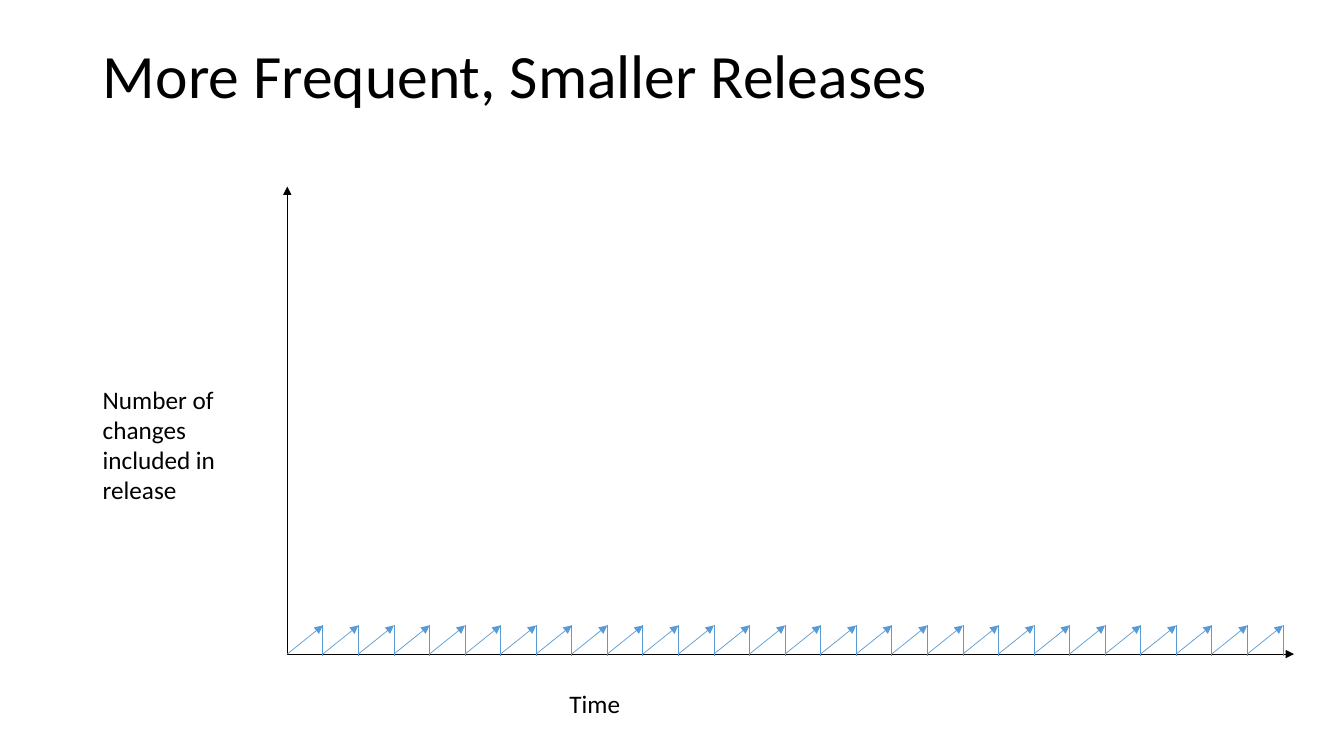
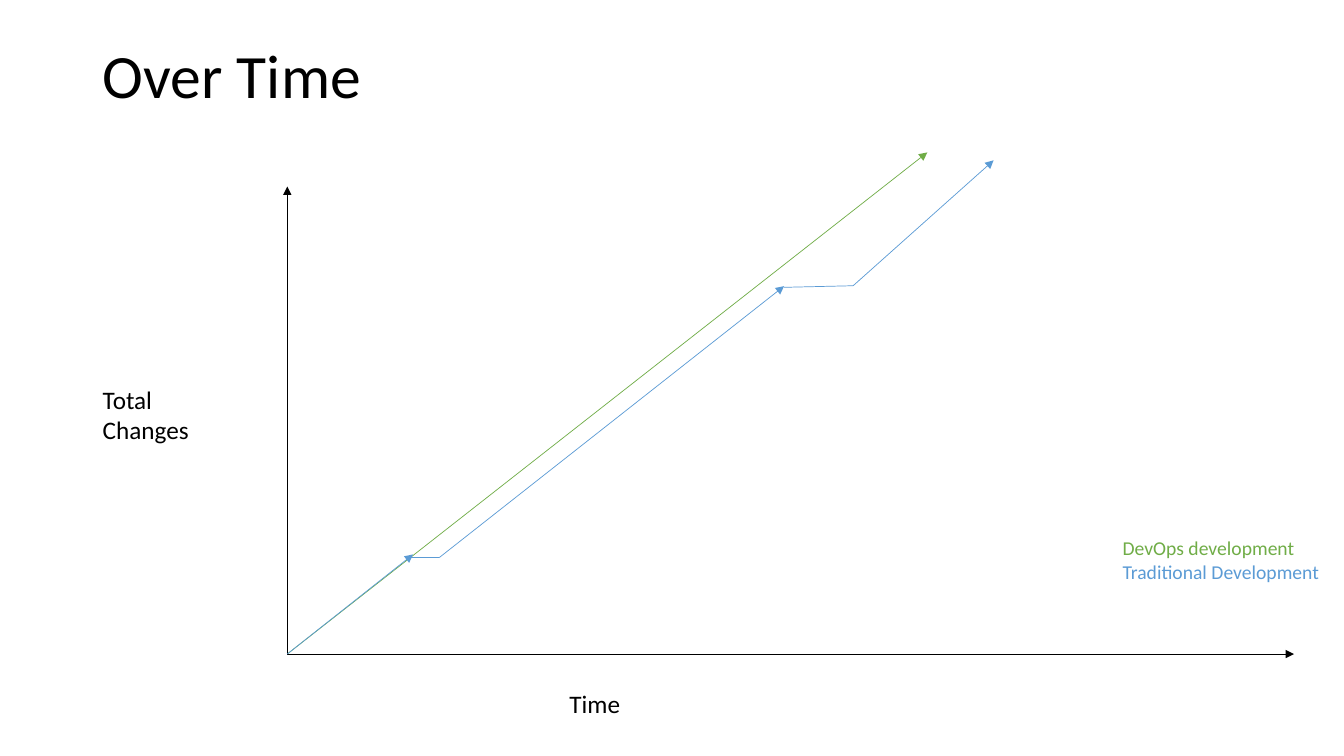
from lxml import etree
from pptx import Presentation
from pptx.dml.color import RGBColor
from pptx.enum.shapes import MSO_CONNECTOR as Line
from pptx.enum.text import MSO_ANCHOR as Anchor, MSO_AUTO_SIZE as Fit, PP_ALIGN as Align
from pptx.oxml.ns import qn
from pptx.util import Cm, Pt

BLACK = RGBColor(0x00, 0x00, 0x00)
BLUE = RGBColor(0x5B, 0x9B, 0xD5)
GREEN = RGBColor(0x70, 0xAD, 0x47)
FONT = "Calibri"

LEFT, BASE = 7.24, 16.48
TEETH, LAST_PEAK = 28, 32.33
PEAK, FOOT = 15.76, 16.52


class Deck:
    """Hold the shared style and the current slide."""

    def __init__(self):
        self.prs = Presentation()
        self.prs.slide_width, self.prs.slide_height = Cm(33.87), Cm(19.05)
        self.s = None

    def style(self, p, size, color):
        p.font.name, p.font.size = FONT, Pt(size)
        p.font.color.rgb = color
        p.alignment = Align.LEFT

    def slide(self, title):
        self.s = self.prs.slides.add_slide(self.prs.slide_layouts[5])
        sp = self.s.shapes.title
        sp.left, sp.top, sp.width, sp.height = Cm(2.34), Cm(1.02), Cm(29.21), Cm(3.68)
        tf = sp.text_frame
        tf.text = title
        tf.auto_size, tf.vertical_anchor = Fit.NONE, Anchor.TOP
        p = tf.paragraphs[0]
        p.line_spacing = 0.9
        self.style(p, 44, BLACK)

    def text(self, x, y, w, h, lines, size=18):
        sp = self.s.shapes.add_textbox(Cm(x), Cm(y), Cm(w), Cm(h))
        tf = sp.text_frame
        tf.word_wrap, tf.auto_size = True, Fit.SHAPE_TO_FIT_TEXT
        for i, (line, color) in enumerate(lines):
            p = tf.add_paragraph() if i else tf.paragraphs[0]
            p.text = line
            self.style(p, size, color)

    def line(self, start, end, color, arrow=False):
        (x1, y1), (x2, y2) = start, end
        sp = self.s.shapes.add_connector(Line.STRAIGHT, Cm(x1), Cm(y1), Cm(x2), Cm(y2))
        sp.line.color.rgb = color
        sp.line.width = Pt(0.5)
        if arrow:
            etree.SubElement(sp.line._get_or_add_ln(), qn("a:tailEnd"), type="triangle")
        etree.SubElement(sp._element.spPr, qn("a:effectLst"))

    def axes(self, label, height):
        self.line((LEFT, BASE), (32.61, BASE), BLACK, True)
        self.line((LEFT, BASE), (LEFT, 4.7), BLACK, True)
        self.text(14.1, 17.22, 2.64, 1.02, [("Time", BLACK)])
        self.text(2.34, 9.55, 3.56, height, [(label, BLACK)])


def releases(deck):
    deck.slide("More Frequent, Smaller Releases")
    deck.axes("Number of changes included in release", 3.33)
    step = (LAST_PEAK - LEFT) / TEETH
    for i in range(TEETH):
        x = LEFT + i * step
        deck.line((x, BASE), (x + step, PEAK), BLUE, True)
        deck.line((x + step, PEAK), (x + step, FOOT), BLUE)


def over_time(deck):
    deck.slide("Over Time")
    deck.line((LEFT, BASE), (23.37, 3.84), GREEN, True)
    deck.axes("Total Changes", 1.8)
    traditional = [
        ((LEFT, BASE), (10.41, 13.97), True),
        ((10.34, 14.05), (11.07, 14.05), False),
        ((11.07, 14.05), (19.76, 7.21), True),
        ((19.76, 7.24), (21.5, 7.2), False),
        ((21.5, 7.2), (25.04, 4.04), True),
    ]
    for start, end, arrow in traditional:
        deck.line(start, end, BLUE, arrow)
    legend = [("DevOps development", GREEN), ("Traditional Development", BLUE)]
    deck.text(28.04, 13.39, 5.83, 1.45, legend, 14)


def main():
    deck = Deck()
    releases(deck)
    over_time(deck)
    deck.prs.save("out.pptx")


if __name__ == "__main__":
    main()
